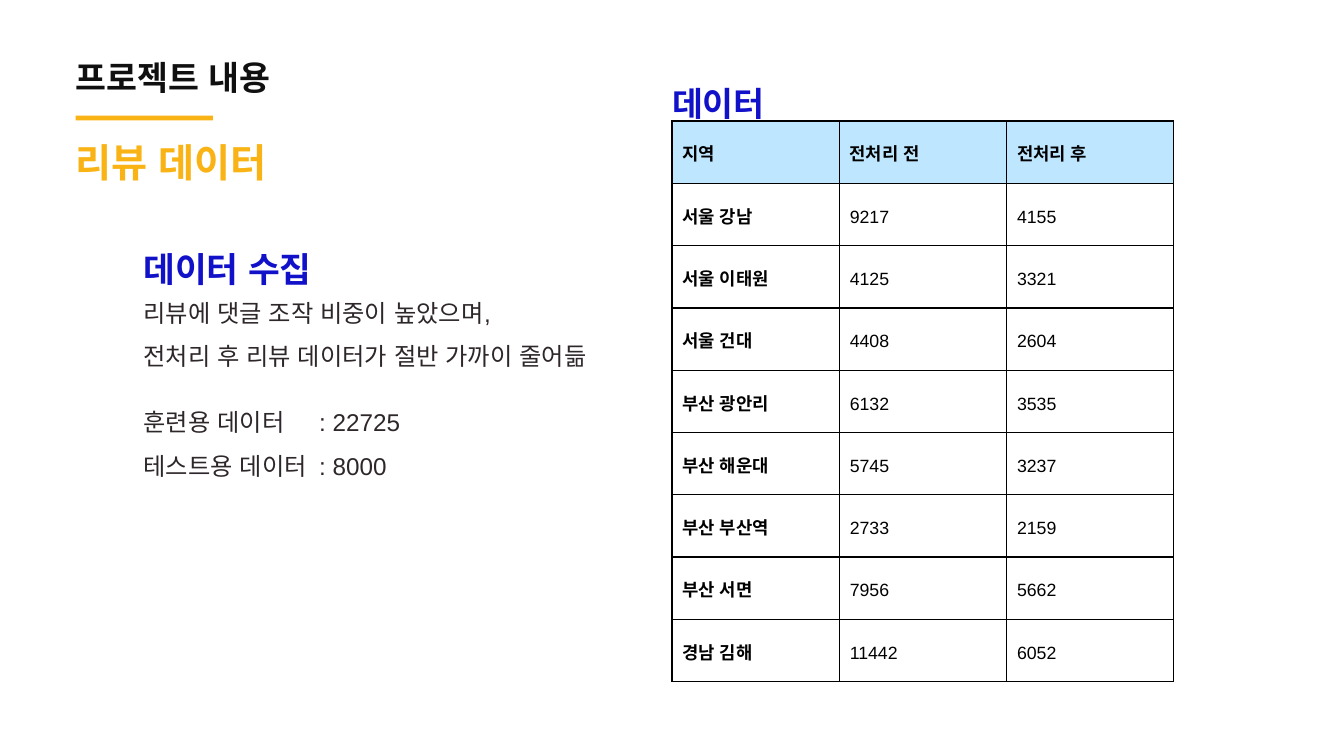
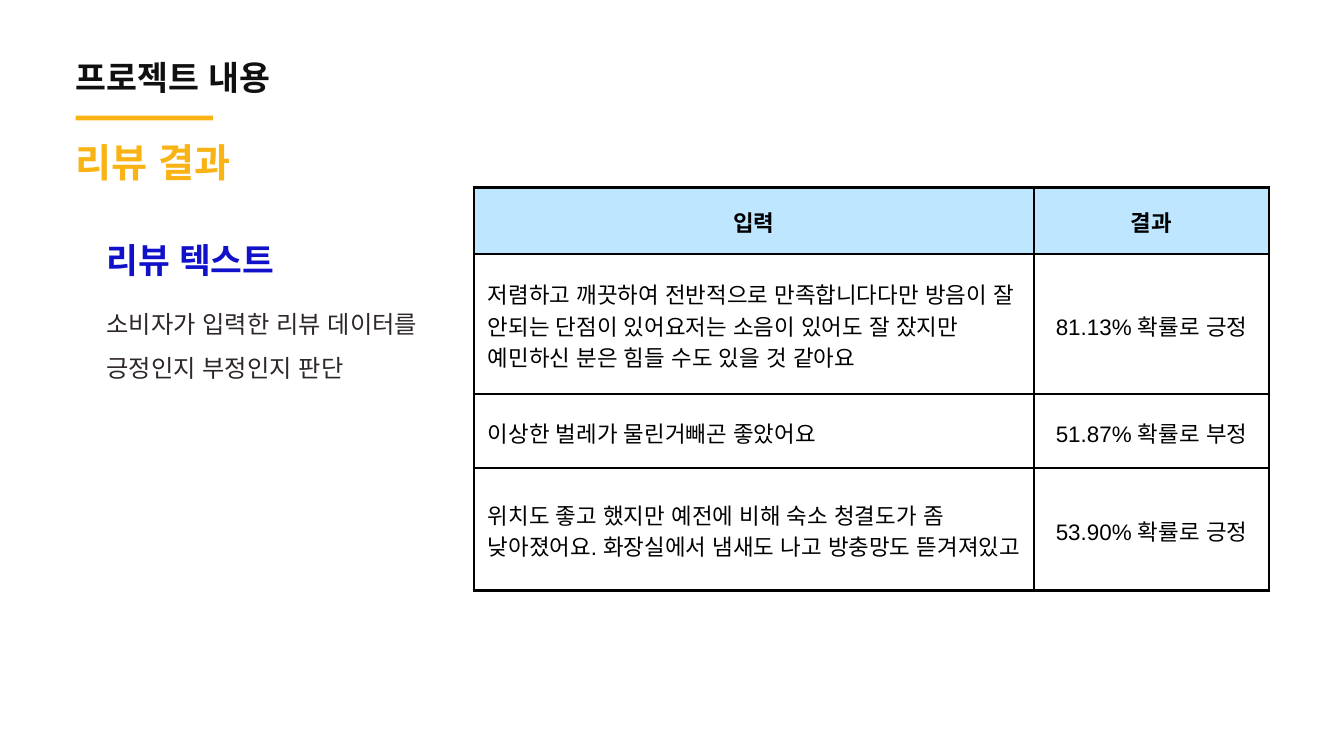
from lxml.etree import SubElement
from pptx import Presentation
from pptx.dml.color import RGBColor
from pptx.enum.shapes import MSO_SHAPE
from pptx.enum.text import MSO_ANCHOR, MSO_AUTO_SIZE, PP_ALIGN
from pptx.oxml.ns import qn
from pptx.util import Emu, Pt

AMBER = "F9B314"
BLUE = "1211CA"
INK = "101010"
BODY = "2D262A"
BLACK = "000000"
WHITE = "FFFFFF"
SKY = "BEE6FF"

REGION_COUNTS = [
    ("지역", "전처리 전", "전처리 후"),
    ("서울 강남", "9217", "4155"),
    ("서울 이태원", "4125", "3321"),
    ("서울 건대", "4408", "2604"),
    ("부산 광안리", "6132", "3535"),
    ("부산 해운대", "5745", "3237"),
    ("부산 부산역", "2733", "2159"),
    ("부산 서면", "7956", "5662"),
    ("경남 김해", "11442", "6052"),
]

REVIEW_RESULTS = [
    ("입력", "결과"),
    ("저렴하고 깨끗하여 전반적으로 만족합니다다만 방음이 잘 안되는 단점이 있어요"
     "저는 소음이 있어도 잘 잤지만 예민하신 분은 힘들 수도 있을 것 같아요",
     "81.13% 확률로 긍정"),
    ("이상한 벌레가 물린거빼곤 좋았어요", "51.87% 확률로 부정"),
    ("위치도 좋고 했지만 예전에 비해 숙소 청결도가 좀 낮아졌어요. "
     "화장실에서 냄새도 나고 방충망도 뜯겨져있고",
     "53.90% 확률로 긍정"),
]


def px(length):
    """Turn px into EMU at 96 px to the inch."""
    return Emu(length * 9525)


def rgb(code):
    return RGBColor.from_string(code)


def write(frame, lines, size, color=BLACK, bold=False, font="Arial",
          align=PP_ALIGN.LEFT, spacing=1.0, gaps=(), tab=None):
    """Fill a text frame; gaps holds the points before each line, tab a stop in px."""
    for index, line in enumerate(lines):
        paragraph = frame.add_paragraph() if index else frame.paragraphs[0]
        paragraph.alignment = align
        paragraph.line_spacing = spacing
        if gaps:
            paragraph.space_before = Pt(gaps[index])
        if tab:
            stops = SubElement(paragraph._p.get_or_add_pPr(), qn("a:tabLst"))
            SubElement(stops, qn("a:tab"), pos=str(px(tab)), algn="l")
        run = paragraph.add_run()
        run.text = line
        run.font.size = Pt(size)
        run.font.bold = bold
        run.font.name = font
        run.font.color.rgb = rgb(color)
        SubElement(run._r.get_or_add_rPr(), qn("a:ea"), typeface=font)


def draw_borders(cell, width):
    properties = cell._tc.get_or_add_tcPr()
    for side in ("lnL", "lnR", "lnT", "lnB"):
        line = SubElement(properties, qn(f"a:{side}"), w=str(Pt(width)))
        fill = SubElement(line, qn("a:solidFill"))
        SubElement(fill, qn("a:srgbClr"), val=BLACK)


class Deck:
    def __init__(self):
        self.presentation = Presentation()
        self.presentation.slide_width = px(1920)
        self.presentation.slide_height = px(1080)
        self.slide = None

    def start_slide(self, subtitle):
        """Add a slide with the shared title, accent bar and its own subtitle."""
        self.slide = self.presentation.slides.add_slide(self.presentation.slide_layouts[6])
        self.bar(108, 165, 196, 7)
        self.text(108, 71, 367, 61, "프로젝트 내용", size=36, color=INK, bold=True,
                  align=PP_ALIGN.JUSTIFY, spacing=Pt(50.4))
        self.text(108, 212, 677, 53, subtitle, size=42, color=AMBER, bold=True,
                  spacing=Pt(39.5))

    def bar(self, left, top, width, height):
        accent = self.slide.shapes.add_shape(
            MSO_SHAPE.RECTANGLE, px(left), px(top), px(width), px(height))
        accent.shadow.inherit = False
        accent.fill.solid()
        accent.fill.fore_color.rgb = rgb(AMBER)
        accent.line.fill.background()

    def text(self, left, top, width, height, *lines, **style):
        box = self.slide.shapes.add_textbox(px(left), px(top), px(width), px(height))
        frame = box.text_frame
        frame.word_wrap = True
        frame.auto_size = MSO_AUTO_SIZE.SHAPE_TO_FIT_TEXT
        frame.margin_left = frame.margin_right = 0
        frame.margin_top = frame.margin_bottom = 0
        write(frame, lines, **style)

    def heading(self, left, top, width, label):
        self.text(left, top, width, 66, label, size=37, color=BLUE, bold=True,
                  spacing=Pt(51.8))

    def table(self, left, top, widths, heights, records, inset, border, cell_style):
        """Draw records as a table; cell_style(row, column) gives the text format."""
        grid = self.slide.shapes.add_table(
            len(heights), len(widths), px(left), px(top),
            px(sum(widths)), px(sum(heights))).table
        grid.horz_banding = False
        for column, width in zip(grid.columns, widths):
            column.width = px(width)
        for r, (height, record) in enumerate(zip(heights, records)):
            grid.rows[r].height = px(height)
            for c, entry in enumerate(record):
                cell = grid.cell(r, c)
                cell.margin_left = cell.margin_right = px(inset)
                cell.margin_top = cell.margin_bottom = px(inset)
                cell.vertical_anchor = MSO_ANCHOR.MIDDLE
                draw_borders(cell, border)
                cell.fill.solid()
                cell.fill.fore_color.rgb = rgb(WHITE if r else SKY)
                write(cell.text_frame, [entry], **cell_style(r, c))


def region_style(row, column):
    return dict(size=19, bold=row == 0 or column == 0, spacing=Pt(26.6))


def result_style(row, column):
    centred = row == 0 or column == 1
    return dict(size=24, bold=row == 0, spacing=Pt(33.6),
                align=PP_ALIGN.CENTER if centred else PP_ALIGN.LEFT)


def add_review_data(deck):
    deck.start_slide("리뷰 데이터")
    deck.table(960, 173, [239] * 3, [89] * 9, REGION_COUNTS,
               inset=15, border=1.5, cell_style=region_style)
    deck.heading(205, 344, 469, "데이터 수집")
    deck.text(205, 436, 699, 248,
              "리뷰에 댓글 조작 비중이 높았으며,",
              "전처리 후 리뷰 데이터가 절반 가까이 줄어듦",
              "훈련용 데이터\t: 22725",
              "테스트용 데이터\t: 8000",
              size=26, color=BODY, spacing=Pt(23.4), gaps=(0, 23.4, 46.8, 23.4), tab=251)
    deck.text(960, 111, 469, 60, "데이터", size=36, color=BLUE, bold=True,
              font="Montserrat", spacing=Pt(49))


def add_review_results(deck):
    deck.start_slide("리뷰 결과")
    deck.heading(152, 332, 266, "리뷰 텍스트")
    deck.text(152, 421, 492, 118, "소비자가 입력한 리뷰 데이터를", "긍정인지 부정인지 판단",
              size=26, color=BODY, spacing=1.5)
    deck.table(677, 268, [800, 336], [95, 200, 106, 137], REVIEW_RESULTS,
               inset=20, border=3, cell_style=result_style)


def main():
    deck = Deck()
    add_review_data(deck)
    add_review_results(deck)
    deck.presentation.save("out.pptx")


if __name__ == "__main__":
    main()
